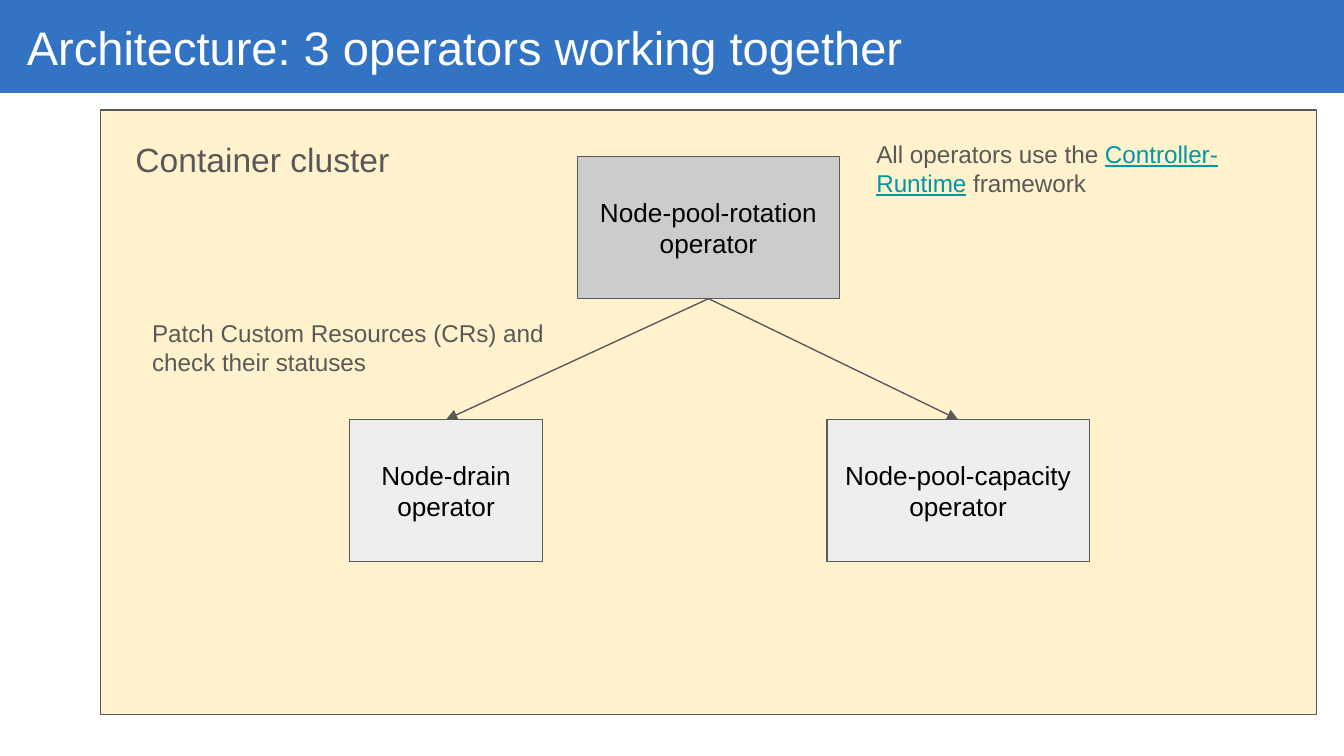
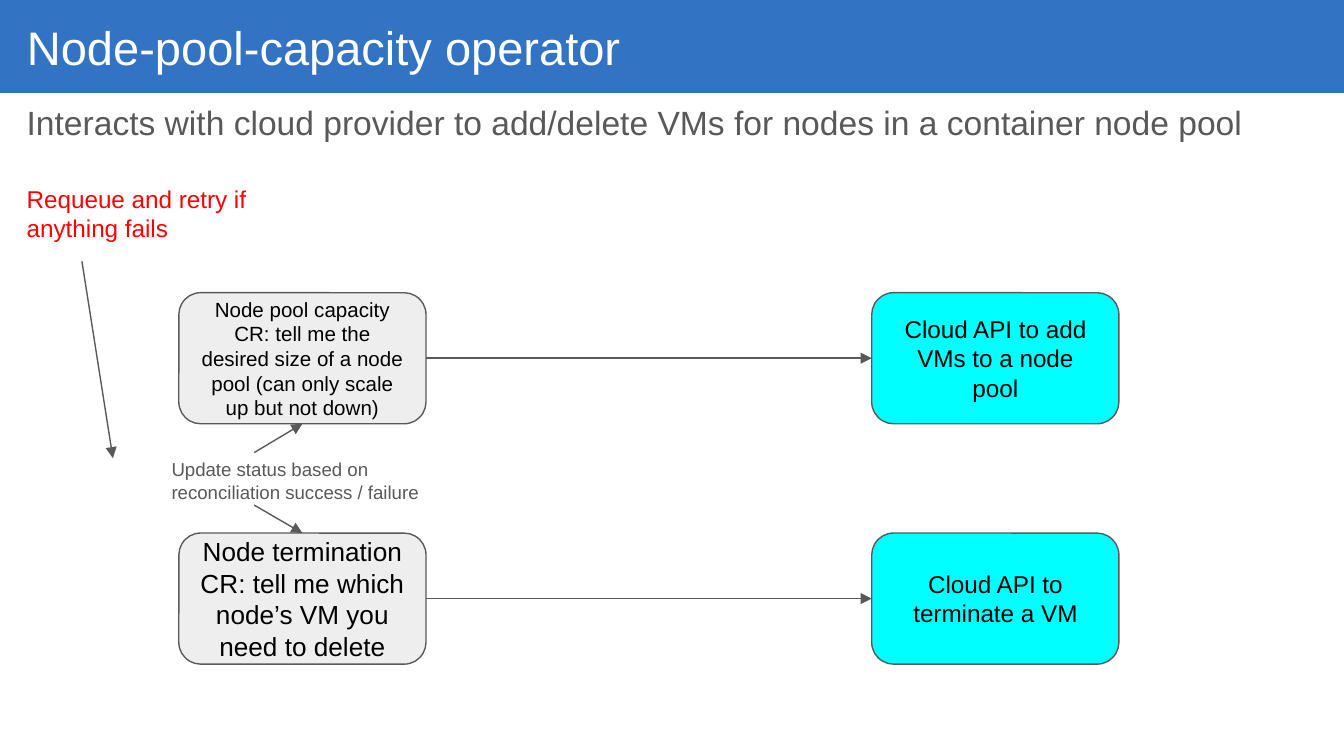
from dataclasses import dataclass
from typing import Any, Optional

from lxml.etree import SubElement
from pptx import Presentation
from pptx.dml.color import RGBColor
from pptx.enum.shapes import MSO_CONNECTOR, MSO_SHAPE
from pptx.enum.text import MSO_ANCHOR, MSO_AUTO_SIZE, PP_ALIGN
from pptx.oxml.ns import qn
from pptx.util import Pt

FONT = "Arial"
BAND, WHITE, BLACK = "0051B5", "FFFFFF", "000000"
GRAY, DARK_FILL, LIGHT_FILL = "595959", "CCCCCC", "EEEEEE"
CREAM, CYAN, RED, TEAL = "FFF2CC", "00FFFF", "FF0000", "0097A7"
TOP, LEFT, BOTTOM, RIGHT = range(4)
INSET = 7.2
SLIDE_WIDTH, SLIDE_HEIGHT = 720, 405


@dataclass(frozen=True)
class Frame:
    left: float
    top: float
    width: float
    height: float

    def lengths(self) -> tuple:
        return Pt(self.left), Pt(self.top), Pt(self.width), Pt(self.height)


@dataclass(frozen=True)
class Span:
    text: str
    color: str
    underline: Optional[bool] = None


@dataclass(frozen=True)
class Box:
    frame: Frame
    fill: str
    text: str = ""
    size: float = 14
    kind: Any = MSO_SHAPE.RECTANGLE


@dataclass(frozen=True)
class Label:
    frame: Frame
    size: float
    spans: tuple


def rgb(color: str) -> RGBColor:
    return RGBColor.from_string(color)


def apply(target: Any, formats: dict) -> None:
    for name, value in formats.items():
        setattr(target, name, value)


def write(shape: Any, spans: tuple, size: float, alignment: Any, **formats: Any) -> None:
    margins = dict.fromkeys(
        ("margin_left", "margin_top", "margin_right", "margin_bottom"), Pt(INSET))
    apply(shape.text_frame, {"word_wrap": True, **margins, **formats})
    paragraph = shape.text_frame.paragraphs[0]
    paragraph.alignment = alignment
    for span in spans:
        run = paragraph.add_run()
        run.text = span.text
        apply(run.font, {"name": FONT, "size": Pt(size), "underline": span.underline})
        run.font.color.rgb = rgb(span.color)


def outline(line: Any) -> None:
    line.color.rgb = rgb(GRAY)
    line.width = Pt(0.75)


def draw_box(slide: Any, box: Box) -> Any:
    shape = slide.shapes.add_shape(box.kind, *box.frame.lengths())
    shape.shadow.inherit = False
    shape.fill.solid()
    shape.fill.fore_color.rgb = rgb(box.fill)
    outline(shape.line)
    if box.text:
        write(shape, (Span(box.text, BLACK),), box.size, PP_ALIGN.CENTER,
              vertical_anchor=MSO_ANCHOR.MIDDLE)
    return shape


def draw_label(slide: Any, label: Label) -> None:
    shape = slide.shapes.add_textbox(*label.frame.lengths())
    write(shape, label.spans, label.size, PP_ALIGN.LEFT,
          auto_size=MSO_AUTO_SIZE.SHAPE_TO_FIT_TEXT)


def draw_arrow(slide: Any, start: tuple, end: tuple) -> Any:
    points = [Pt(value) for value in (*start, *end)]
    connector = slide.shapes.add_connector(MSO_CONNECTOR.STRAIGHT, *points)
    outline(connector.line)
    properties = connector.element.spPr
    SubElement(properties.find(qn("a:ln")), qn("a:tailEnd"), type="triangle")
    SubElement(properties, qn("a:effectLst"))
    return connector


def join(slide: Any, source: Any, source_side: int, target: Any, target_side: int) -> None:
    connector = draw_arrow(slide, (0, 0), (0, 0))
    connector.begin_connect(source, source_side)
    connector.end_connect(target, target_side)


def add_band_to_layout(slide: Any) -> None:
    band = draw_box(slide, Box(Frame(0, 0, SLIDE_WIDTH, 49.8), BAND))
    band.line.fill.background()
    color = band.element.spPr.find(qn("a:solidFill")).find(qn("a:srgbClr"))
    SubElement(color, qn("a:alpha"), val="80000")
    slide.slide_layout.shapes[0].element.addprevious(band.element)


def add_slide(presentation: Any, title: str) -> Any:
    slide = presentation.slides.add_slide(presentation.slide_layouts[5])
    shape = slide.shapes.title
    left, top, width, height = Frame(7.2, 2.2, 605.5, 45.4).lengths()
    apply(shape, {"left": left, "top": top, "width": width, "height": height})
    write(shape, (Span(title, WHITE),), 25.2, PP_ALIGN.LEFT,
          auto_size=MSO_AUTO_SIZE.NONE, vertical_anchor=MSO_ANCHOR.MIDDLE)
    return slide


def build_architecture(presentation: Any) -> None:
    slide = add_slide(presentation, "Architecture: 3 operators working together")
    add_band_to_layout(slide)
    draw_box(slide, Box(Frame(54, 59, 651.4, 324), CREAM))
    wide, narrow, height, lower = 140.6, 103.6, 76.2, 224.8
    rotation = draw_box(slide, Box(Frame(309.3, 83.8, wide, height), DARK_FILL,
                                   "Node-pool-rotation operator"))
    drain = draw_box(slide, Box(Frame(187.2, lower, narrow, height), LIGHT_FILL,
                                "Node-drain operator"))
    capacity = draw_box(slide, Box(Frame(443, lower, wide, height), LIGHT_FILL,
                                   "Node-pool-capacity operator"))
    for operator in (drain, capacity):
        join(slide, rotation, BOTTOM, operator, TOP)
    width = 234.7
    for label in (
        Label(Frame(65.5, 67, width, 36), 18, (Span("Container cluster", GRAY),)),
        Label(Frame(74.4, 163.4, width, 46), 13,
              (Span("Patch Custom Resources (CRs) and check their statuses", GRAY),)),
        Label(Frame(462.4, 67.2, width, 46), 13,
              (Span("All operators use the ", GRAY),
               Span("Controller-Runtime", TEAL, True),
               Span(" framework", GRAY, False))),
    ):
        draw_label(slide, label)


def build_capacity(presentation: Any) -> None:
    slide = add_slide(presentation, "Node-pool-capacity operator")
    resource_left, cloud_left, width, height = 95.8, 467, 132.4, 70.2
    first_top, second_top = 156.8, 285.6
    rows = (
        (first_top, 11, "Node pool capacity CR: tell me the desired size of a node pool "
                        "(can only scale up but not down)",
         "Cloud API to add VMs to a node pool"),
        (second_top, 14, "Node termination CR: tell me which node’s VM you need to delete",
         "Cloud API to terminate a VM"),
    )
    for top, size, request, response in rows:
        resource = draw_box(slide, Box(Frame(resource_left, top, width, height), LIGHT_FILL,
                                       request, size, MSO_SHAPE.ROUNDED_RECTANGLE))
        cloud = draw_box(slide, Box(Frame(cloud_left, top, width, height), CYAN,
                                    response, 13, MSO_SHAPE.ROUNDED_RECTANGLE))
        join(slide, resource, RIGHT, cloud, LEFT)
    center = resource_left + width / 2
    draw_arrow(slide, (43.9, 140), (60.5, 245.5))
    draw_arrow(slide, (136.2, 242.5), (center, first_top + height))
    draw_arrow(slide, (136.2, 270.6), (center, second_top))
    for frame, size, text, color in (
        (Frame(7.2, 47.6, 690.5, 36), 18,
         "Interacts with cloud provider to add/delete VMs for nodes in a container node pool",
         GRAY),
        (Frame(7.2, 91.6, 150.5, 46), 13, "Requeue and retry if anything fails", RED),
        (Frame(84.8, 238.2, 154.8, 39), 10,
         "Update status based on reconciliation success / failure", GRAY),
    ):
        draw_label(slide, Label(frame, size, (Span(text, color),)))


def main() -> None:
    presentation = Presentation()
    apply(presentation, {"slide_width": Pt(SLIDE_WIDTH), "slide_height": Pt(SLIDE_HEIGHT)})
    build_architecture(presentation)
    build_capacity(presentation)
    presentation.save("out.pptx")


if __name__ == "__main__":
    main()
